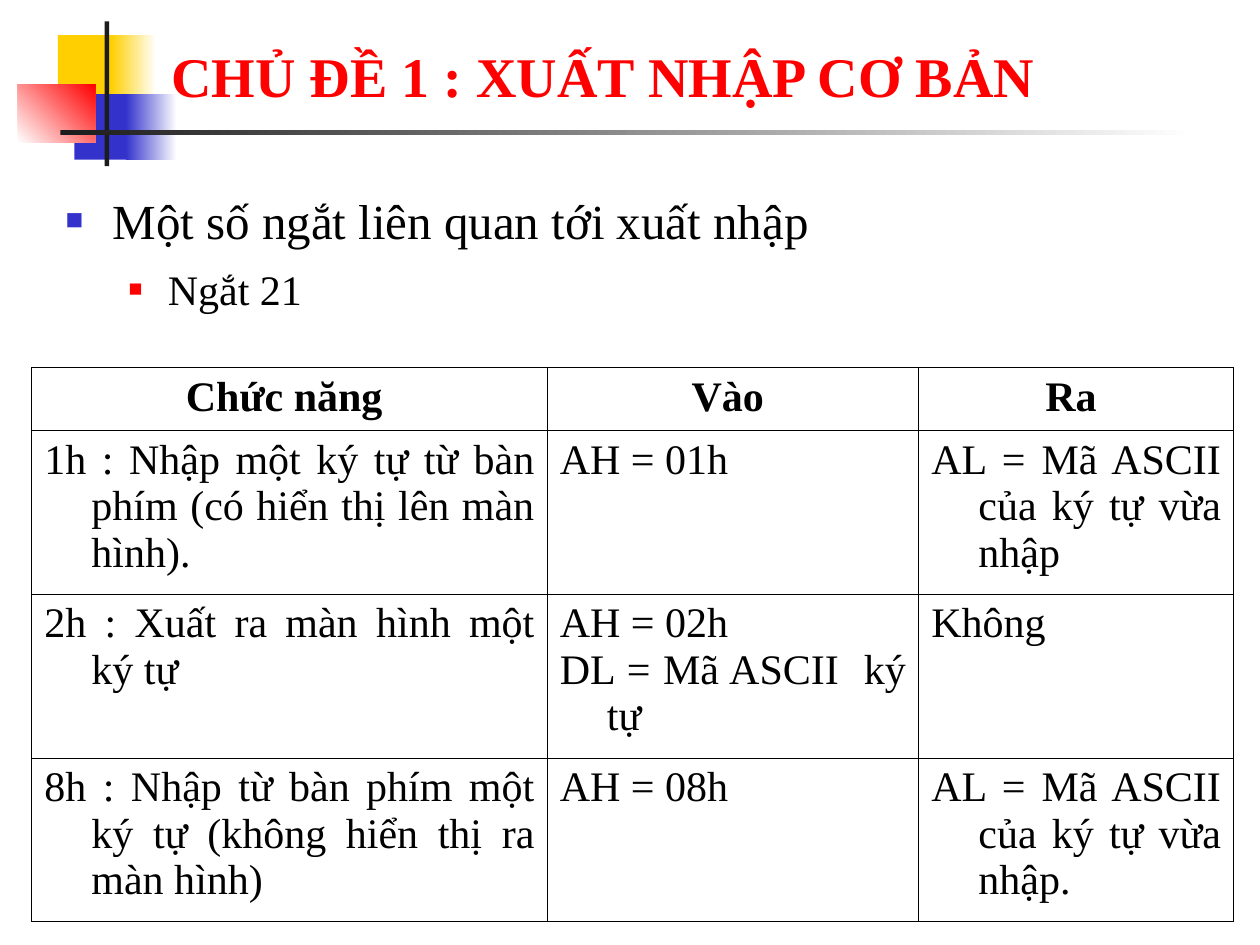
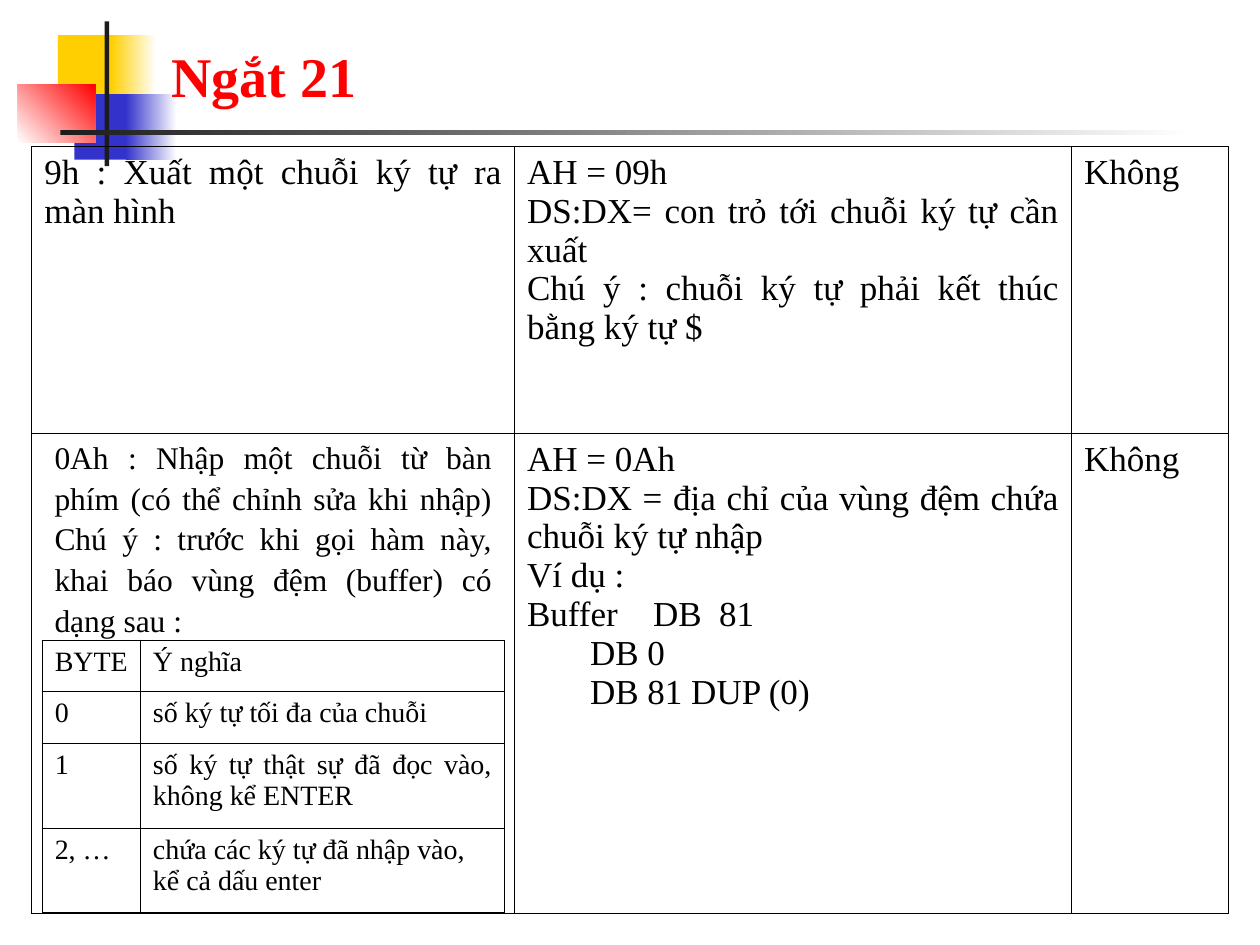
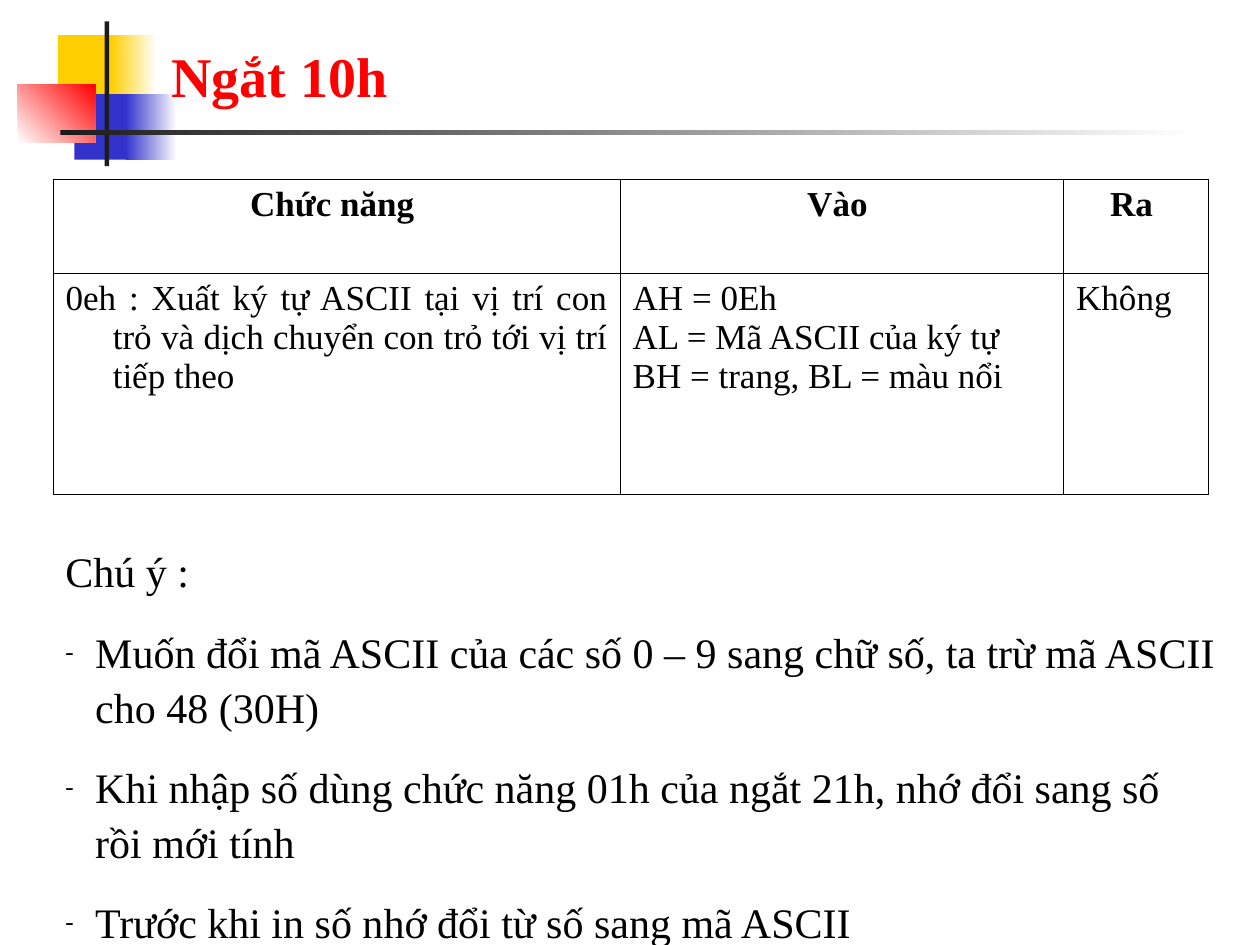
from dataclasses import dataclass
from typing import Optional

from lxml.etree import SubElement
from pptx import Presentation
from pptx.dml.color import RGBColor
from pptx.enum.shapes import MSO_SHAPE as Preset
from pptx.enum.text import MSO_ANCHOR as Anchor, MSO_AUTO_SIZE as AutoSize, PP_ALIGN as Align
from pptx.oxml import parse_xml
from pptx.oxml.ns import nsdecls, qn
from pptx.util import Cm, Pt

FONT = "Times New Roman"
BLACK, WHITE, RED = "000000", "FFFFFF", "FF0000"
BLUE, YELLOW, CHARCOAL = "3333CC", "FFCF01", "1C1C1C"
BORDER_WIDTH = Pt(0.45)
TAB_STOP = Cm(2.54)
TEXT_SPACING = 1.08
TITLE_AND_BODY, TITLE_ONLY = 1, 5


@dataclass(frozen=True)
class Box:
    left: float
    top: float
    width: float
    height: float

    def lengths(self) -> tuple:
        return Cm(self.left), Cm(self.top), Cm(self.width), Cm(self.height)


@dataclass(frozen=True)
class Band:
    box: Box
    start: str
    end: Optional[str] = None
    angle: float = 0


@dataclass(frozen=True)
class Bullet:
    symbol: str
    color: str
    percent: int


@dataclass(frozen=True)
class Style:
    size: float
    color: str = BLACK
    bold: bool = False
    align: Align = Align.LEFT
    margin: float = 0
    indent: float = 0
    before: float = 0
    spacing: Optional[float] = None
    level: int = 0
    bullet: Optional[Bullet] = None


@dataclass(frozen=True)
class Grid:
    left: float
    top: float
    columns: tuple
    rows: tuple
    cells: tuple
    size: float
    header: bool = False
    hanging: float = 0
    left_cells: tuple = ()


# Shared look
TITLE_BOX = Box(3.2, 0.58, 21.64, 1.73)
TITLE_STYLE = Style(32, RED, bold=True)
BANDS = (
    Band(Box(1.17, 0.71, 1.22, 1.32), YELLOW),
    Band(Box(2.24, 0.71, 0.91, 1.32), YELLOW, WHITE),
    Band(Box(1.5, 1.9, 1.17, 1.32), BLUE),
    Band(Box(2.54, 1.9, 1.02, 1.32), BLUE, WHITE),
    Band(Box(0.36, 1.7, 1.56, 1.17), WHITE, RED, 45),
    Band(Box(2.11, 0.43, 0.09, 2.92), CHARCOAL),
    Band(Box(1.22, 2.62, 22.86, 0.1), CHARCOAL, WHITE),
)
HEADINGS = ("Chức năng ", "Vào ", "Ra ")

# Slide 1: topic list and function table
TOPIC_BOX = Box(1.07, 3.61, 23.7, 3.61)
TOPICS = (
    ("Một số ngắt liên quan tới xuất nhập",
     Style(28, margin=0.95, indent=-0.95, spacing=TEXT_SPACING, bullet=Bullet("■", BLUE, 60))),
    ("Ngắt 21",
     Style(24, margin=2.06, indent=-0.79, before=6, spacing=TEXT_SPACING, level=1,
           bullet=Bullet("■", RED, 55))),
)
KEYBOARD_GRID = Grid(
    0.64, 7.41, (10.39, 7.49, 6.35), (1.27, 3.3, 3.3, 3.3),
    (
        HEADINGS,
        ("1h : Nhập một ký tự từ bàn phím (có hiển thị lên màn hình).",
         "AH = 01h", "AL = Mã ASCII của ký tự vừa nhập"),
        ("2h : Xuất ra màn hình một ký tự",
         "AH = 02h\nDL = Mã ASCII  ký tự", "Không"),
        ("8h : Nhập từ bàn phím một ký tự (không hiển thị ra màn hình)",
         "AH = 08h", "AL = Mã ASCII của ký tự vừa nhập."),
    ),
    size=24, header=True, hanging=0.95, left_cells=((3, 1),),
)

# Slide 2: string functions and buffer layout
STRING_GRID = Grid(
    0.64, 2.96, (9.73, 11.23, 3.17), (5.78, 9.67),
    (
        ("9h : Xuất một chuỗi ký tự ra màn hình",
         "AH = 09h\nDS:DX= con trỏ tới chuỗi ký tự cần xuất\n"
         "Chú ý : chuỗi ký tự phải kết thúc bằng ký tự $",
         "Không"),
        ("",
         "AH = 0Ah\nDS:DX = địa chỉ của vùng đệm chứa chuỗi ký tự nhập\n"
         "Ví dụ :\nBuffer\tDB  81\n\tDB 0\n\tDB 81 DUP (0)",
         "Không"),
    ),
    size=20,
)
BUFFER_GRID = Grid(
    0.85, 12.9, (1.98, 7.34), (1.04, 1.04, 1.71, 1.71),
    (
        ("BYTE", "Ý nghĩa"),
        ("0", "số ký tự tối đa của chuỗi"),
        ("1", "số ký tự thật sự đã đọc vào, không kể ENTER"),
        ("2, …", "chứa các ký tự đã nhập vào, kể cả dấu enter"),
    ),
    size=16, left_cells=((3, 1),),
)
BUFFER_NOTE_BOX = Box(0.85, 8.64, 9.32, 4.06)
BUFFER_NOTE = (
    ("0Ah : Nhập một chuỗi từ bàn phím (có thể chỉnh sửa khi nhập) "
     "Chú ý : trước khi gọi hàm này, khai báo vùng đệm (buffer) có dạng sau :",
     Style(18, align=Align.JUSTIFY, spacing=TEXT_SPACING)),
)

# Slide 3: cursor function and conversion remarks
CURSOR_GRID = Grid(
    1.07, 3.61, (11.43, 8.94, 2.92), (1.9, 4.45),
    (
        HEADINGS,
        ("0eh : Xuất ký tự ASCII tại vị trí con trỏ và dịch chuyển con trỏ tới vị trí tiếp theo",
         "AH = 0Eh\nAL = Mã ASCII của ký tự\nBH = trang, BL = màu nổi", "Không"),
    ),
    size=20, header=True, hanging=0.95,
)
REMARK_BOX = Box(1.07, 10.8, 23.7, 7.95)
REMARK_STYLE = Style(24, margin=0.6, indent=-0.6, before=15, spacing=TEXT_SPACING,
                     bullet=Bullet("-", BLACK, 60))
REMARKS = (
    ("Chú ý :", Style(24, spacing=TEXT_SPACING)),
    ("Muốn đổi mã ASCII của các số 0 – 9 sang chữ số, ta trừ mã ASCII cho 48 (30H)", REMARK_STYLE),
    ("Khi nhập số dùng chức năng 01h của ngắt 21h, nhớ đổi sang số rồi mới tính", REMARK_STYLE),
    ("Trước khi in số nhớ đổi từ số sang mã ASCII", REMARK_STYLE),
)


def rgb(color: str) -> RGBColor:
    return RGBColor.from_string(color)


# Text
def write_paragraph(paragraph, text: str, style: Style) -> None:
    paragraph.text = text
    paragraph.level = style.level
    properties = paragraph._p.get_or_add_pPr()
    properties.set("marL", str(Cm(style.margin)))
    properties.set("indent", str(Cm(style.indent)))
    if style.bullet:
        color = SubElement(properties, qn("a:buClr"))
        SubElement(color, qn("a:srgbClr"), val=style.bullet.color)
        SubElement(properties, qn("a:buSzPct"), val=str(style.bullet.percent * 1000))
        SubElement(properties, qn("a:buFont"), typeface=FONT)
        SubElement(properties, qn("a:buChar"), char=style.bullet.symbol)
    else:
        SubElement(properties, qn("a:buNone"))
    if "\t" in text:
        tabs = SubElement(properties, qn("a:tabLst"))
        SubElement(tabs, qn("a:tab"), pos=str(TAB_STOP), algn="l")
    paragraph.alignment = style.align
    paragraph.space_before = Pt(style.before)
    if style.spacing:
        paragraph.line_spacing = style.spacing
    font = paragraph.font
    font.name, font.size, font.bold = FONT, Pt(style.size), style.bold
    font.color.rgb = rgb(style.color)


def write_frame(frame, lines: tuple) -> None:
    for index, (text, style) in enumerate(lines):
        paragraph = frame.add_paragraph() if index else frame.paragraphs[0]
        write_paragraph(paragraph, text, style)


def fill_placeholder(shape, box: Box, lines: tuple, anchor: Anchor) -> None:
    shape.left, shape.top, shape.width, shape.height = box.lengths()
    frame = shape.text_frame
    frame.auto_size = AutoSize.NONE
    frame.vertical_anchor = anchor
    write_frame(frame, lines)


def add_text(slide, box: Box, lines: tuple) -> None:
    frame = slide.shapes.add_textbox(*box.lengths()).text_frame
    frame.word_wrap = True
    write_frame(frame, lines)


# Tables
def set_borders(cell) -> None:
    properties = cell._tc.get_or_add_tcPr()
    for index, side in enumerate(("lnL", "lnR", "lnT", "lnB")):
        properties.insert(index, parse_xml(
            f'<a:{side} {nsdecls("a")} w="{BORDER_WIDTH}"><a:solidFill>'
            f'<a:srgbClr val="{BLACK}"/></a:solidFill></a:{side}>'))


def add_grid(slide, grid: Grid) -> None:
    box = Box(grid.left, grid.top, sum(grid.columns), sum(grid.rows))
    table = slide.shapes.add_table(len(grid.rows), len(grid.columns), *box.lengths()).table
    table.first_row = table.horz_banding = False
    for column, width in zip(table.columns, grid.columns):
        column.width = Cm(width)
    for row_index, (row, height) in enumerate(zip(table.rows, grid.rows)):
        row.height = Cm(height)
        heading = grid.header and row_index == 0
        for column_index, text in enumerate(grid.cells[row_index]):
            cell = row.cells[column_index]
            cell.fill.background()
            set_borders(cell)
            if heading:
                align = Align.CENTER
            elif (row_index, column_index) in grid.left_cells:
                align = Align.LEFT
            else:
                align = Align.JUSTIFY
            style = Style(grid.size, bold=heading, align=align,
                          margin=grid.hanging, indent=-grid.hanging)
            write_frame(cell.text_frame, tuple((line, style) for line in text.split("\n")))


# Bands and slides
def add_band(slide, band: Band):
    shape = slide.shapes.add_shape(Preset.RECTANGLE, *band.box.lengths())
    shape.shadow.inherit = False
    shape.line.fill.background()
    if band.end:
        shape.fill.gradient()
        shape.fill.gradient_angle = band.angle
        for stop, color in zip(shape.fill.gradient_stops, (band.start, band.end)):
            stop.color.rgb = rgb(color)
    else:
        shape.fill.solid()
        shape.fill.fore_color.rgb = rgb(band.start)
    return shape


def move_bands_to_master(presentation, slide) -> None:
    master_tree = presentation.slide_master.shapes.element
    for index, band in enumerate(BANDS):
        element = add_band(slide, band).element
        element.nvSpPr.cNvPr.set("id", str(100 + index))
        master_tree.insert(2 + index, element)


def add_slide(presentation, title: str, layout: int = TITLE_ONLY):
    slide = presentation.slides.add_slide(presentation.slide_layouts[layout])
    fill_placeholder(slide.shapes.title, TITLE_BOX, ((title, TITLE_STYLE),), Anchor.BOTTOM)
    return slide


def main() -> None:
    presentation = Presentation()
    presentation.slide_width, presentation.slide_height = Cm(25.4), Cm(19.05)

    slide = add_slide(presentation, "CHỦ ĐỀ 1 : XUẤT NHẬP CƠ BẢN", TITLE_AND_BODY)
    move_bands_to_master(presentation, slide)
    fill_placeholder(slide.placeholders[1], TOPIC_BOX, TOPICS, Anchor.TOP)
    add_grid(slide, KEYBOARD_GRID)

    slide = add_slide(presentation, "Ngắt 21")
    add_grid(slide, STRING_GRID)
    add_grid(slide, BUFFER_GRID)
    add_text(slide, BUFFER_NOTE_BOX, BUFFER_NOTE)

    slide = add_slide(presentation, "Ngắt 10h")
    add_grid(slide, CURSOR_GRID)
    add_text(slide, REMARK_BOX, REMARKS)

    presentation.save("out.pptx")


if __name__ == "__main__":
    main()
